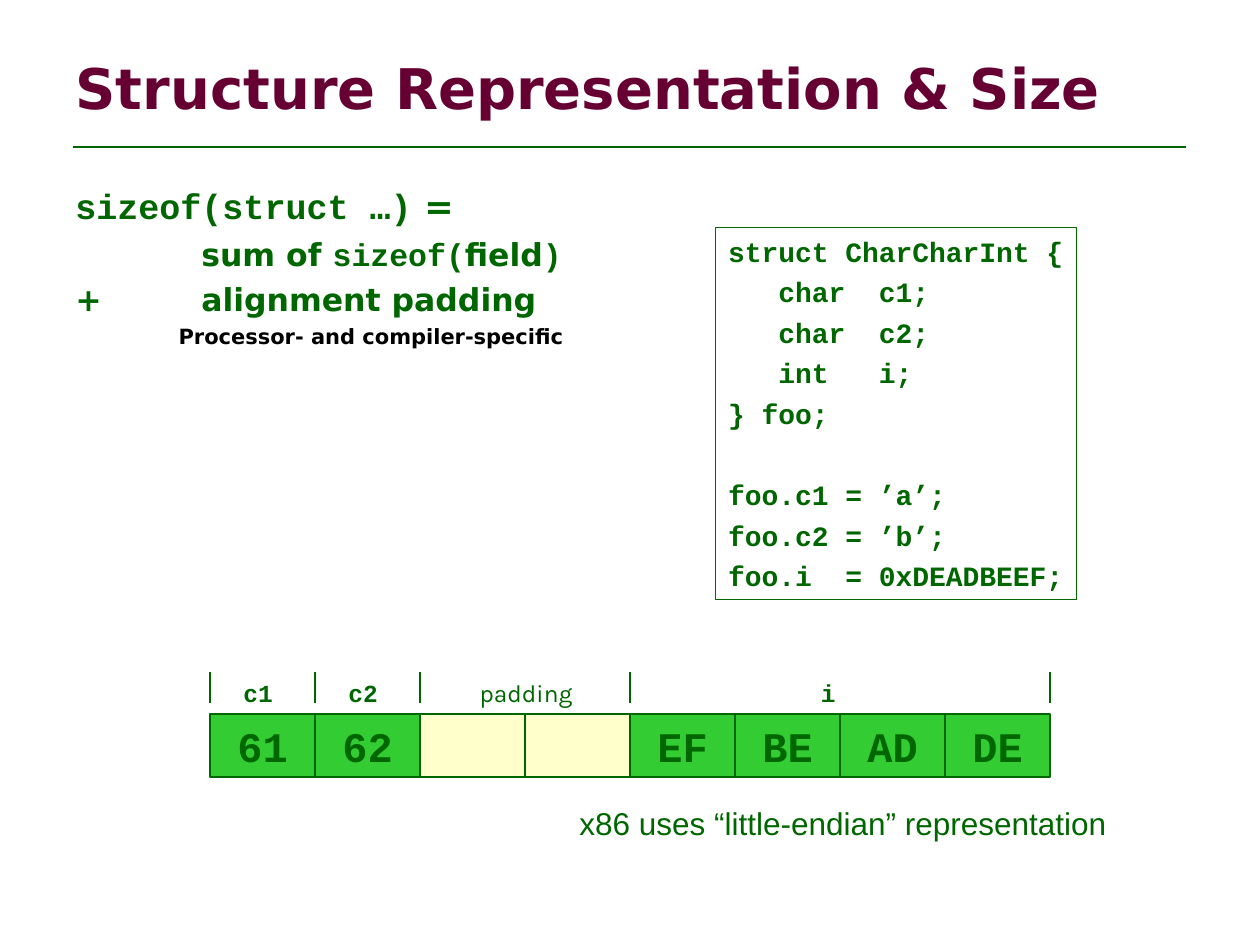
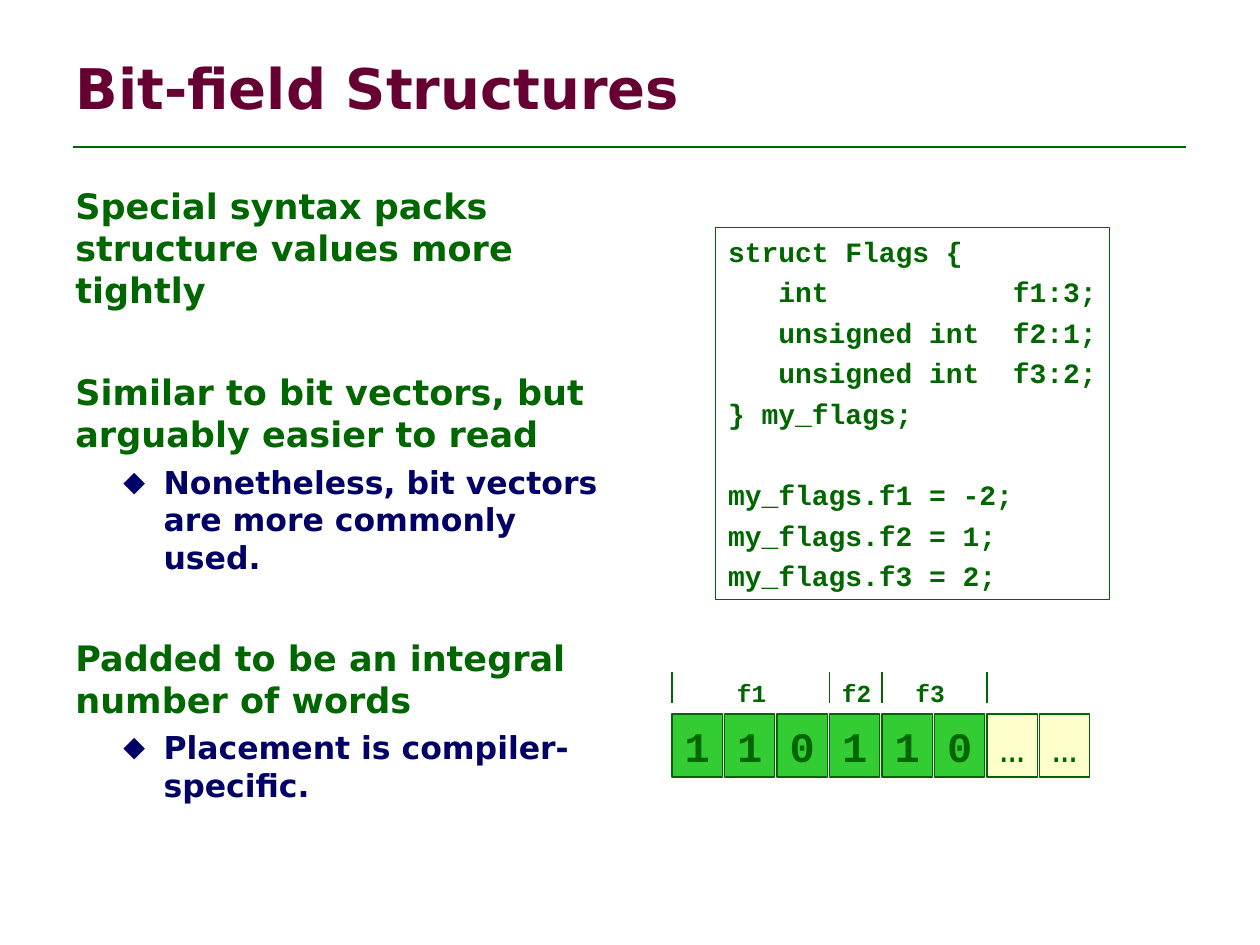
"""Build two slides on C structure layout and bit-fields."""
from lxml import etree
from pptx import Presentation
from pptx.dml.color import RGBColor
from pptx.enum.shapes import MSO_CONNECTOR, MSO_SHAPE
from pptx.enum.text import MSO_ANCHOR, PP_ALIGN
from pptx.oxml.ns import qn
from pptx.util import Pt

LEFT, MID = PP_ALIGN.LEFT, PP_ALIGN.CENTER
TOP, HALF = MSO_ANCHOR.TOP, MSO_ANCHOR.MIDDLE
RECT, LINE = MSO_SHAPE.RECTANGLE, MSO_CONNECTOR.STRAIGHT

GREEN, WINE, NAVY, BLACK = "006600", "660033", "000066", "000000"
LIME, CREAM = "33CC33", "FFFFCC"
SANS, MONO = "DejaVu Sans", "Courier New"

HEAD = {"size": 20}
SUB = {"size": 18, "color": NAVY, "before": 4.5,
       "indent": 50.4, "hang": 23, "bullet": "◆"}
NEXT = {"size": 20, "before": 34.3}
CODE = {"font": MONO, "size": 16, "before": 4}

SLIDES = [
    {
        "title": "Structure Representation & Size",
        "body": [
            ([("sizeof(struct …)", MONO), " ="], HEAD),
            (["sum of ", ("sizeof(", MONO), "field", (")", MONO)],
             {"before": 4.5, "indent": 72}),
            (["+\talignment padding"], {"before": 4.5, "tab": 72}),
            (["Processor- and compiler-specific"],
             {"size": 12, "color": BLACK, "indent": 59, "before": 3}),
        ],
        "tall": 106.5,
        "code": [
            ["struct CharCharInt {", "   char  c1;", "   char  c2;",
             "   int   i;", "} foo;"],
            ["foo.c1 = ’a’;", "foo.c2 = ’b’;", "foo.i  = 0xDEADBEEF;"],
        ],
        "wide": 206,
        "cells": ["61", "62", "", "", "EF", "BE", "AD", "DE"],
        "pads": (2, 3),
        "left": 120, "pitch": 60, "cell": 60,
        "ticks": (0, 1, 2, 4, 8),
        "labels": [("c1", 132, 31, MONO), ("c2", 192, 31, MONO),
                   ("padding", 267, 69, "Karla"), ("i", 462, 22, MONO)],
        "note": "x86 uses “little-endian” representation",
    },
    {
        "title": "Bit-field Structures",
        "body": [
            (["Special syntax packs structure values more tightly"], HEAD),
            (["Similar to bit vectors, but arguably easier to read"], NEXT),
            (["Nonetheless, bit vectors are more commonly used."], SUB),
            (["Padded to be an integral number of words"], NEXT),
            (["Placement is compiler-specific."], SUB),
        ],
        "tall": 380,
        "code": [
            ["struct Flags {", "   int           f1:3;",
             "   unsigned int  f2:1;", "   unsigned int  f3:2;",
             "} my_flags;"],
            ["my_flags.f1 = -2;", "my_flags.f2 = 1;", "my_flags.f3 = 2;"],
        ],
        "wide": 225,
        "cells": ["1", "1", "0", "1", "1", "0", "…", "…"],
        "pads": (6, 7),
        "left": 384, "pitch": 30, "cell": 28.8,
        "ticks": (0, 3, 4, 6),
        "labels": [("f1", 414, 31, MONO), ("f2", 474, 31, MONO),
                   ("f3", 516, 31, MONO)],
    },
]


def paint(hexa):
    """Turn a hex string into a colour."""
    return RGBColor.from_string(hexa)


def mark(props, tag, **attrs):
    """Append a drawing element to paragraph properties."""
    return etree.SubElement(props, qn("a:" + tag), attrs)


def add_para(para, runs, font=SANS, size=18, color=GREEN, bold=True,
             align=LEFT, before=5, indent=0, hang=0, bullet=None, tab=None):
    """Fill one paragraph with runs, each a string or (string, font)."""
    para.alignment = align
    para.space_before = Pt(before)
    props = para._p.get_or_add_pPr()
    if indent:
        props.set("marL", str(Pt(indent)))
        props.set("indent", str(-Pt(hang)))
    if bullet:
        tint = mark(props, "buClr")
        mark(tint, "srgbClr", val=color)
        mark(props, "buSzPct", val="90000")
        mark(props, "buFont", typeface=font)
        mark(props, "buChar", char=bullet)
    if tab:
        props.set("defTabSz", str(Pt(tab)))
        stops = mark(props, "tabLst")
        mark(stops, "tab", pos=str(Pt(tab)), algn="l")
    for part in runs:
        words, face = (part, font) if isinstance(part, str) else part
        run = para.add_run()
        run.text = words
        run.font.name, run.font.size = face, Pt(size)
        run.font.bold = bold
        run.font.color.rgb = paint(color)


def write(shape, paras, anchor=TOP, wrap=True, **fmt):
    """Put text, or a list of (runs, format) pairs, into a shape."""
    frame = shape.text_frame
    frame.word_wrap = wrap
    frame.vertical_anchor = anchor
    if isinstance(paras, str):
        paras = [([paras], {})]
    for i, (runs, own) in enumerate(paras):
        para = frame.add_paragraph() if i else frame.paragraphs[0]
        start = {} if i else {"before": 0}
        add_para(para, runs, **{**fmt, **own, **start})


def add_box(slide, x, y, w, h, fill=None):
    """Draw a green-edged rectangle."""
    box = slide.shapes.add_shape(RECT, Pt(x), Pt(y), Pt(w), Pt(h))
    box.shadow.inherit = False
    if fill:
        box.fill.solid()
        box.fill.fore_color.rgb = paint(fill)
    else:
        box.fill.background()
    box.line.color.rgb = paint(GREEN)
    box.line.width = Pt(0.75)
    return box


def add_text(slide, x, y, w, h, paras, **fmt):
    """Add a text box."""
    box = slide.shapes.add_textbox(Pt(x), Pt(y), Pt(w), Pt(h))
    write(box, paras, **fmt)


def add_line(slide, x1, y1, x2, y2, width=0.75):
    """Draw a plain green line."""
    line = slide.shapes.add_connector(LINE, Pt(x1), Pt(y1), Pt(x2), Pt(y2))
    line.line.color.rgb = paint(GREEN)
    line.line.width = Pt(width)
    etree.SubElement(line._element.spPr, qn("a:effectLst"))


def add_title(slide, words):
    """Set the title and the rule below it."""
    title = slide.shapes.title
    title.left, title.top = Pt(36), Pt(21.6)
    title.width, title.height = Pt(648), Pt(56)
    write(title, words, anchor=HALF, size=32, color=WINE)
    add_line(slide, 42, 84, 678, 84, 1.5)


def add_code(slide, blocks, wide):
    """Show code in a frame, with a gap between blocks."""
    paras = []
    for block in blocks:
        for i, row in enumerate(block):
            paras.append(([row], {} if i else {"before": 27.2}))
    box = add_box(slide, 409, 130.2, wide, 212.4)
    write(box, paras, wrap=False, **CODE)


def add_bytes(slide, data):
    """Draw the memory cells with ticks and labels above."""
    for i, words in enumerate(data["cells"]):
        pad = i in data["pads"]
        x = data["left"] + i * data["pitch"]
        box = add_box(slide, x, 408, data["cell"], 36, CREAM if pad else LIME)
        if words:
            write(box, words, anchor=HALF, wrap=False, align=MID,
                  font=MONO, size=24, bold=not pad)
    for i in data["ticks"]:
        x = data["left"] + i * data["pitch"]
        add_line(slide, x, 384, x, 402)
    for words, x, wide, font in data["labels"]:
        add_text(slide, x, 384, wide, 24.5, words, wrap=False,
                 font=font, size=14, bold=font == MONO)


def main():
    """Build and save the slides."""
    deck = Presentation()
    deck.slide_width, deck.slide_height = Pt(720), Pt(540)
    for data in SLIDES:
        slide = deck.slides.add_slide(deck.slide_layouts[5])
        add_title(slide, data["title"])
        add_text(slide, 36, 102, 318, data["tall"], data["body"])
        add_bytes(slide, data)
        add_code(slide, data["code"], data["wide"])
        if "note" in data:
            add_text(slide, 324, 456, 320, 29, data["note"], wrap=False,
                     font="Arial", bold=False)
    deck.save("out.pptx")


if __name__ == "__main__":
    main()
